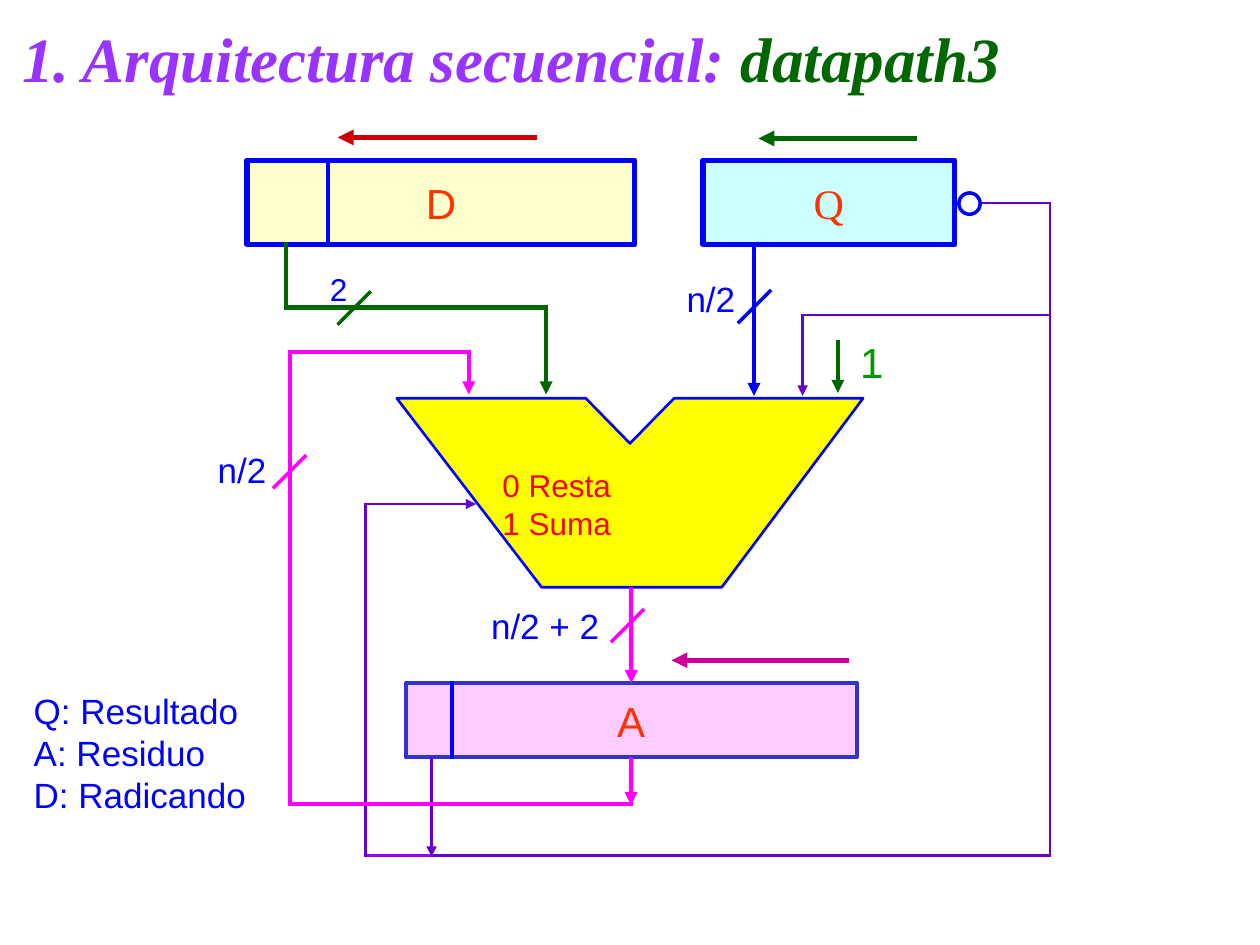
from itertools import pairwise
from lxml.etree import SubElement
from pptx import Presentation
from pptx.dml.color import RGBColor
from pptx.enum.shapes import MSO_CONNECTOR, MSO_SHAPE
from pptx.enum.text import MSO_ANCHOR, PP_ALIGN
from pptx.oxml.ns import qn
from pptx.util import Cm, Pt

BLUE, GREEN, MAGENTA, PURPLE, RED = "0000FF", "006600", "FF00FF", "6600CC", "FF3300"


def color(value):
    return RGBColor.from_string(value)


class Diagram:
    font = "Arial"

    def __init__(self, slide):
        self.s = slide

    def style(self, sp, fill, line, width):
        sp.shadow.inherit = False
        sp.fill.solid()
        sp.fill.fore_color.rgb = color(fill)
        sp.line.color.rgb = color(line)
        sp.line.width = Pt(width)
        return sp

    def format(self, r, size, rgb, font=None):
        r.font.name = font or self.font
        r.font.size = Pt(size)
        r.font.color.rgb = color(rgb)

    def shape(self, kind, box, fill, line, width):
        sp = self.s.shapes.add_shape(kind, *map(Cm, box))
        return self.style(sp, fill, line, width)

    def register(self, name, box, fill, line, width, font=None):
        sp = self.shape(MSO_SHAPE.RECTANGLE, box, fill, line, width)
        tf = sp.text_frame
        tf.text = name
        tf.vertical_anchor = MSO_ANCHOR.MIDDLE
        p = tf.paragraphs[0]
        p.alignment = PP_ALIGN.CENTER
        self.format(p.runs[0], 24, RED, font)
        return sp

    def polygon(self, points, fill, line, width):
        start, *rest = [(Cm(x), Cm(y)) for x, y in points]
        builder = self.s.shapes.build_freeform(*start)
        builder.add_line_segments(rest, close=True)
        return self.style(builder.convert_to_shape(), fill, line, width)

    def text(self, text, box, size, rgb, wrap=True, align=PP_ALIGN.LEFT):
        tf = self.s.shapes.add_textbox(*map(Cm, box)).text_frame
        tf.text = text
        tf.word_wrap = wrap
        for p in tf.paragraphs:
            p.alignment = align
            self.format(p.runs[0], size, rgb)

    def title(self, parts, box):
        tf = self.s.shapes.add_textbox(*map(Cm, box)).text_frame
        tf.word_wrap = True
        tf.vertical_anchor = MSO_ANCHOR.MIDDLE
        for text, rgb in parts:
            r = tf.paragraphs[0].add_run()
            r.text = text
            self.format(r, 36, rgb, "Times New Roman")
            r.font.bold = r.font.italic = True

    def line(self, start, end, rgb, width, arrow=False):
        c = self.s.shapes.add_connector(MSO_CONNECTOR.STRAIGHT, *map(Cm, (*start, *end)))
        c.line.color.rgb = color(rgb)
        c.line.width = Pt(width)
        ln = c.line._get_or_add_ln()
        if arrow:
            SubElement(ln, qn("a:tailEnd"), type="triangle")
        else:
            ln.set("cap", "sq")
        SubElement(c._element.spPr, qn("a:effectLst"))
        return c

    def route(self, points, rgb, width, arrow=False):
        segments = list(pairwise(points))
        for start, end in segments[:-1]:
            self.line(start, end, rgb, width)
        return self.line(*segments[-1], rgb, width, arrow)

    def slash(self, x, y, rgb):
        self.line((x - 0.31, y + 0.31), (x + 0.31, y - 0.31), rgb, 2)


def main():
    prs = Presentation()
    prs.slide_width, prs.slide_height = Cm(25.4), Cm(19.05)
    d = Diagram(prs.slides.add_slide(prs.slide_layouts[6]))

    d.title([("1. Arquitectura secuencial: ", "9933FF"), ("datapath3", GREEN)],
            (0.2, 0.2, 23.29, 1.9))

    d.polygon([(8, 8.03), (11.81, 8.03), (12.7, 8.94), (13.59, 8.03),
               (17.4, 8.03), (14.55, 11.84), (10.92, 11.84)], "FFFF00", BLUE, 1.5)
    a = d.register("A", (8.18, 13.77, 9.09, 1.5), "FFCCFF", "3333CC", 2.25)
    d.register("Q", (14.17, 3.23, 5.08, 1.7), "CCFFFF", BLUE, 3, "Times New Roman")
    d.register("D", (4.98, 3.23, 7.82, 1.7), "FFFFCC", BLUE, 3)

    d.line((9.12, 13.77), (9.12, 15.27), BLUE, 2.25)
    d.line((6.62, 3.23), (6.62, 4.93), BLUE, 2.25)

    d.line((12.72, 11.84), (12.72, 13.77), MAGENTA, 2.5, True).end_connect(a, 0)
    d.line((12.72, 15.27), (12.72, 16.23), MAGENTA, 2.5, True).begin_connect(a, 2)
    d.line((16.89, 6.86), (16.89, 7.92), GREEN, 2.5, True)
    d.line((15.2, 4.93), (15.2, 7.98), BLUE, 2.5, True)
    d.line((8.7, 15.27), (8.7, 17.27), PURPLE, 1.5, True)
    d.line((8.7, 17.25), (7.37, 17.25), "9900FF", 1.5)

    d.route([(19.76, 4.09), (21.17, 4.09), (21.17, 17.25), (8.7, 17.25)], PURPLE, 1.5)
    d.route([(21.17, 6.35), (16.18, 6.35), (16.18, 7.98)], PURPLE, 1.5, True)
    d.route([(7.37, 17.25), (7.37, 10.16), (9.6, 10.16)], PURPLE, 1.5, True)
    d.route([(5.77, 4.93), (5.77, 6.2), (11.01, 6.2), (11.01, 7.95)], GREEN, 2.5, True)
    d.route([(12.72, 16.21), (5.84, 16.21), (5.84, 7.09), (9.45, 7.09), (9.45, 7.95)],
            MAGENTA, 2.5, True)
    d.shape(MSO_SHAPE.OVAL, (19.33, 3.89, 0.43, 0.43), "FFFFFF", BLUE, 2)

    for right, left, y, rgb in [(10.82, 6.81, 2.77, "CC0000"),
                                (18.49, 15.29, 2.79, GREEN),
                                (17.12, 13.54, 13.31, "CC0099")]:
        d.line((right, y), (left, y), rgb, 3, True)

    for x, y, rgb in [(7.14, 6.21, GREEN), (5.84, 9.51, MAGENTA),
                      (12.65, 12.61, MAGENTA), (15.21, 6.18, BLUE)]:
        d.slash(x, y, rgb)

    d.text("Q: Resultado\nA: Residuo\nD: Radicando", (0.43, 13.77, 5.54, 2.79), 20, BLUE)
    d.text("0 Resta\n1 Suma", (9.88, 9.27, 2.82, 1.78), 18, "FF0000")
    d.text("1", (17.09, 6.65, 0.76, 1.27), 24, "009900", align=PP_ALIGN.CENTER)
    d.text("2", (6.4, 5.31, 0.86, 1.02), 18, BLUE, wrap=False)
    d.text("n/2 + 2", (9.65, 12.07, 2.69, 1.96), 20, BLUE)
    for x, y in [(4.14, 8.92), (13.59, 5.46)]:
        d.text("n/2", (x, y, 1.57, 1.12), 20, BLUE)

    prs.save("out.pptx")


if __name__ == "__main__":
    main()
